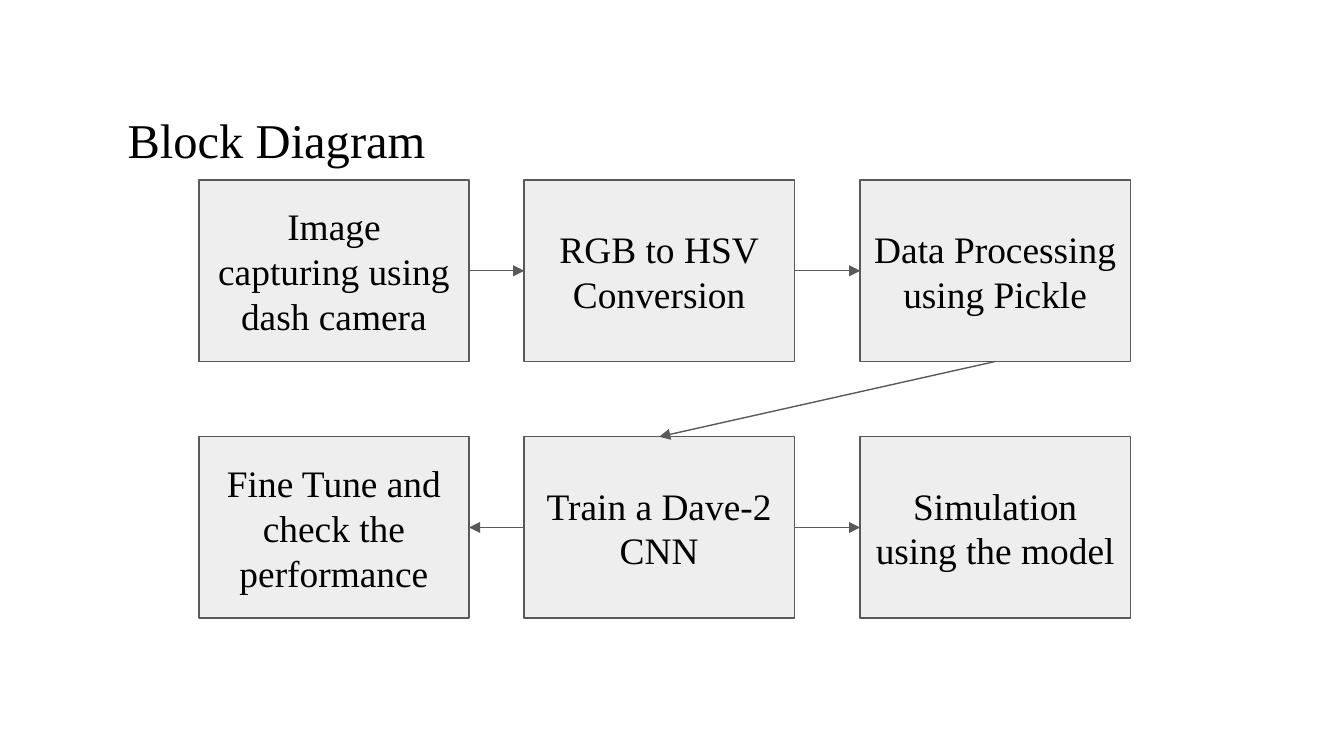
from lxml import etree
from pptx import Presentation
from pptx import util as u
from pptx.dml.color import RGBColor
from pptx.enum import shapes, text
from pptx.oxml.ns import qn

TITLE = "Block Diagram"
STEPS = {  # key: (row, column, wording)
    "capture": (0, 0, "Image capturing using dash camera"),
    "convert": (0, 1, "RGB to HSV\nConversion"),
    "process": (0, 2, "Data Processing using Pickle"),
    "tune": (1, 0, "Fine Tune and check the performance"),
    "train": (1, 1, "Train a Dave-2 CNN"),
    "simulate": (1, 2, "Simulation using the model"),
}
TOP, LEFT, BOTTOM, RIGHT = range(4)  # connection sites of a rectangle
FLOWS = [
    ("capture", RIGHT, "convert", LEFT),
    ("convert", RIGHT, "process", LEFT),
    ("process", BOTTOM, "train", TOP),
    ("train", LEFT, "tune", RIGHT),
    ("train", RIGHT, "simulate", LEFT),
]
THEME = {
    "font": "Times New Roman", "title": 26, "step": 20, "line_width": 0.75,
    "ink": RGBColor(0, 0, 0),
    "fill": RGBColor(0xEE, 0xEE, 0xEE),
    "line": RGBColor(0x59, 0x59, 0x59),
}
SLIDE_WIDTH = 10
SLIDE_HEIGHT = SLIDE_WIDTH * 9 / 16
COLUMNS, ROWS = (1.48, 3.9, 6.4), (1.34, 3.25)
STEP_WIDTH, STEP_HEIGHT = 2.01, 1.35


def write(shape, wording, size, align, inset_x, inset_y):
    frame = shape.text_frame
    frame.text = wording
    frame.word_wrap = True
    frame.vertical_anchor = text.MSO_ANCHOR.MIDDLE
    frame.margin_left = frame.margin_right = u.Inches(inset_x)
    frame.margin_top = frame.margin_bottom = u.Inches(inset_y)
    for paragraph in frame.paragraphs:
        paragraph.alignment = align
        for run in paragraph.runs:
            run.font.name = THEME["font"]
            run.font.size = u.Pt(size)
            run.font.color.rgb = THEME["ink"]


def outline(line):
    line.color.rgb = THEME["line"]
    line.width = u.Pt(THEME["line_width"])


def add_step(slide, row, column, wording):
    step = slide.shapes.add_shape(
        shapes.MSO_SHAPE.RECTANGLE, u.Inches(COLUMNS[column]), u.Inches(ROWS[row]),
        u.Inches(STEP_WIDTH), u.Inches(STEP_HEIGHT))
    step.shadow.inherit = False
    step.fill.solid()
    step.fill.fore_color.rgb = THEME["fill"]
    outline(step.line)
    write(step, wording, THEME["step"], text.PP_ALIGN.CENTER, 0.1, 0.1)
    return step


def add_flow(slide, source, source_site, target, target_site):
    flow = slide.shapes.add_connector(shapes.MSO_CONNECTOR.STRAIGHT, 0, 0, 0, 0)
    flow.begin_connect(source, source_site)
    flow.end_connect(target, target_site)
    outline(flow.line)
    properties = flow._element.spPr
    etree.SubElement(properties.find(qn("a:ln")), qn("a:tailEnd"), type="triangle")
    etree.SubElement(properties, qn("a:effectLst"))


def main():
    deck = Presentation()
    deck.slide_width, deck.slide_height = u.Inches(SLIDE_WIDTH), u.Inches(SLIDE_HEIGHT)
    slide = deck.slides.add_slide(deck.slide_layouts[6])

    title = slide.shapes.add_textbox(
        u.Inches(0.88), u.Inches(0.4), u.Inches(8.25), u.Inches(1.32))
    write(title, TITLE, THEME["title"], text.PP_ALIGN.LEFT, 0.07, 0.04)
    title.text_frame.paragraphs[0].line_spacing = 0.9

    steps = {key: add_step(slide, *step) for key, step in STEPS.items()}
    for source, source_site, target, target_site in FLOWS:
        add_flow(slide, steps[source], source_site, steps[target], target_site)

    deck.save("out.pptx")


if __name__ == "__main__":
    main()
